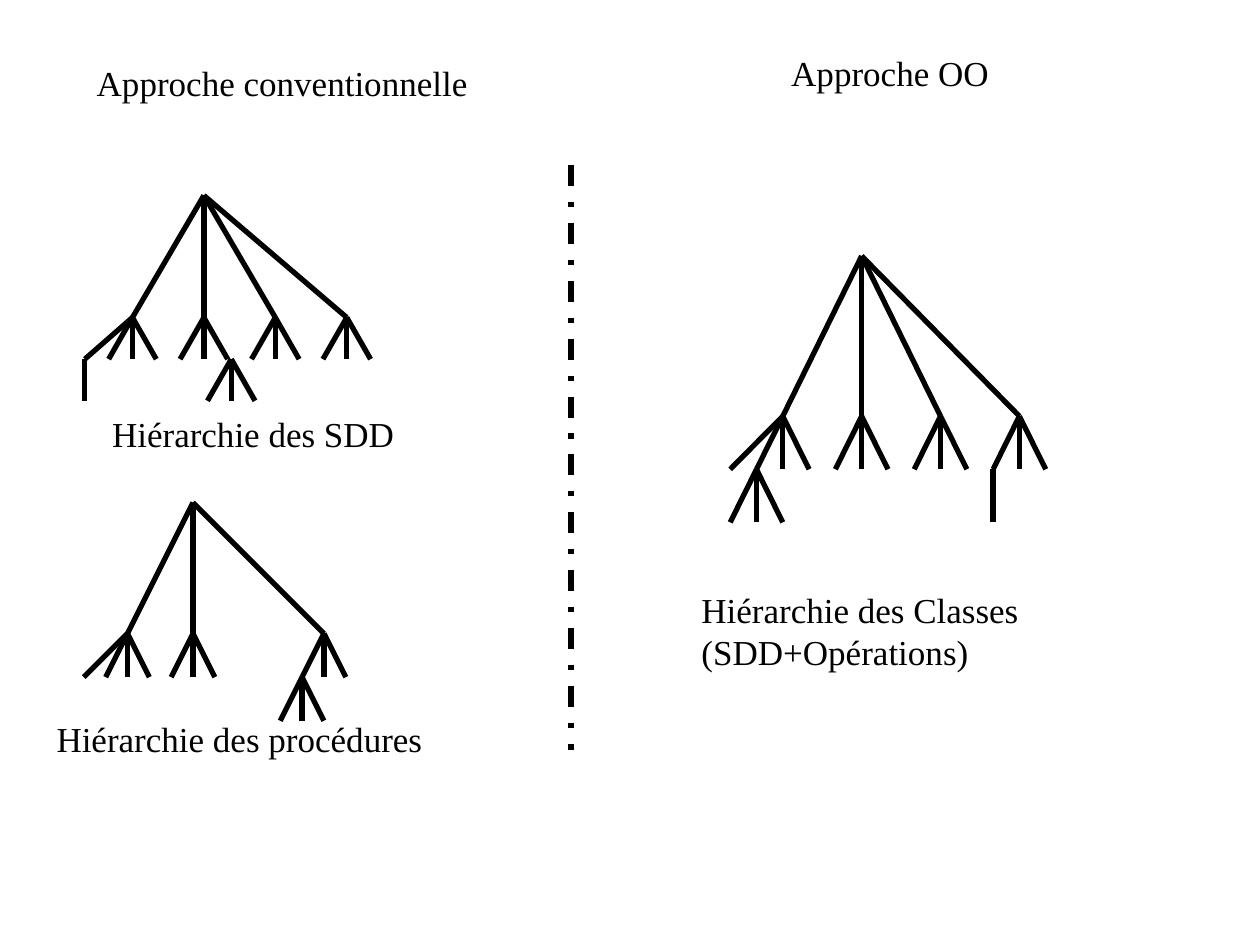
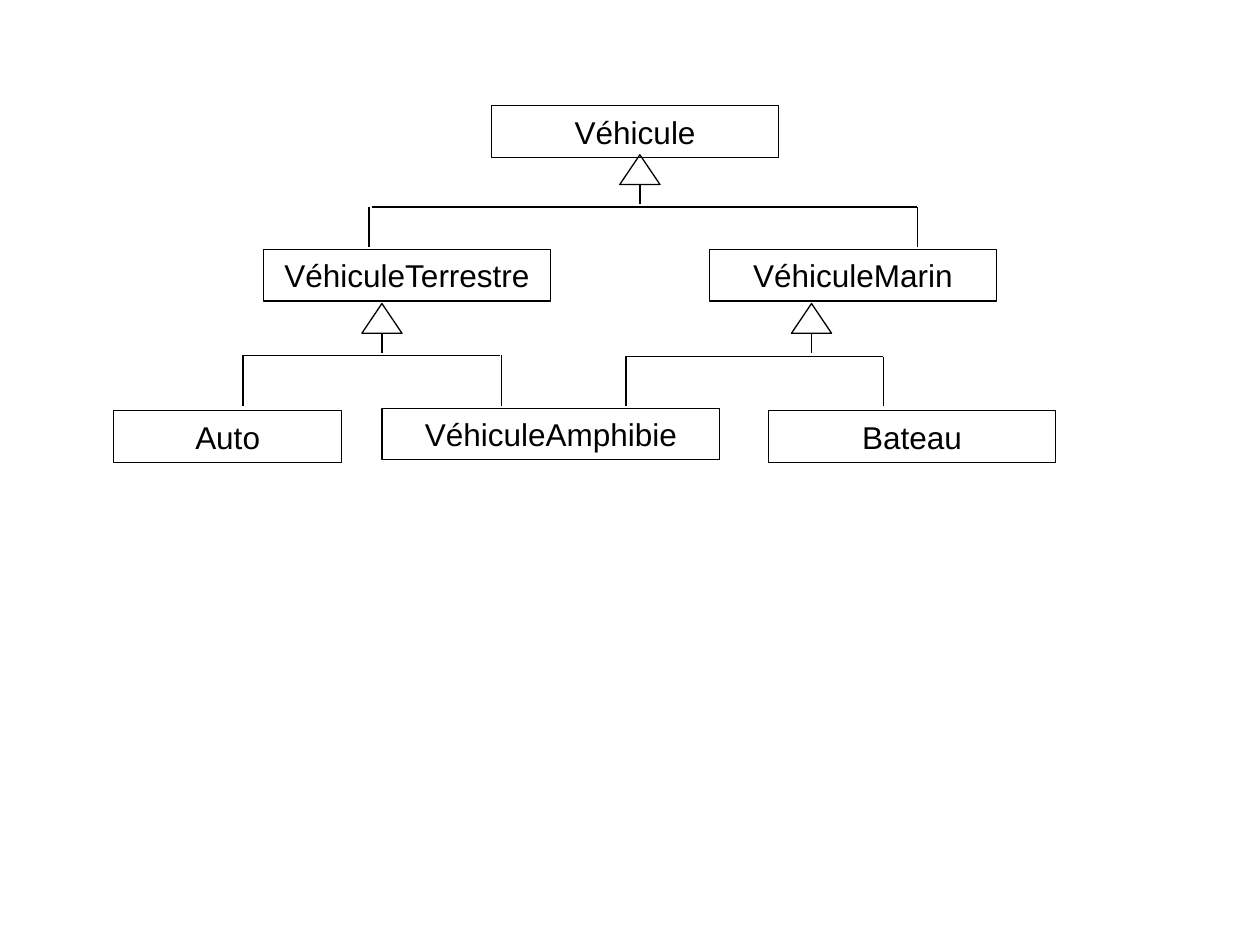
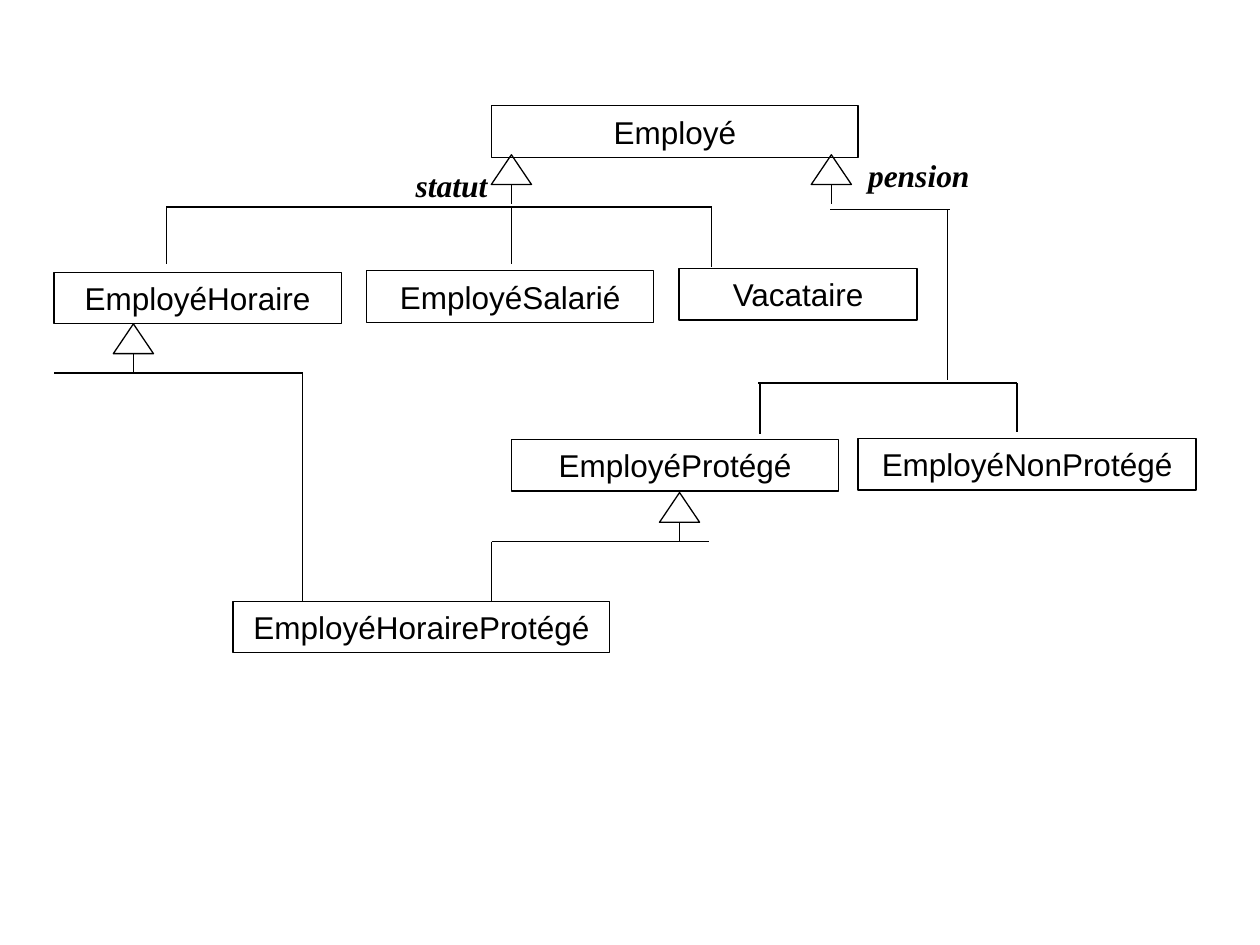
from dataclasses import dataclass

from lxml.etree import SubElement
from pptx import Presentation
from pptx.dml.color import RGBColor
from pptx.enum.dml import MSO_LINE
from pptx.enum.shapes import MSO_CONNECTOR, MSO_SHAPE
from pptx.enum.text import MSO_ANCHOR, PP_ALIGN
from pptx.oxml.ns import qn
from pptx.util import Cm, Pt


@dataclass(frozen=True)
class Theme:
    ink: RGBColor = RGBColor(0, 0, 0)
    serif: str = "Times New Roman"
    sans: str = "Arial"
    caption: int = 20
    label: int = 18
    thick: float = 3
    thin: float = 0.75


T = Theme()

# All lengths below are in centimetres
BOX_H, TRI_W, TRI_H, STEM = 1.04, 0.81, 0.6, 0.4
FAN = (-1, 0, 1)
WIDE_FAN = (-2, *FAN)

# Trees: horizontal offsets in units; a node maps to the offsets of its leaves
TREES = [
    dict(root=(4.11, 3.94), unit=0.48, drop=2.46, step=0.84,
         nodes={-3: WIDE_FAN, 0: FAN, 3: FAN, 6: FAN},
         twigs={1.15: FAN, -5: (0,)}),
    dict(root=(3.89, 10.13), unit=0.44, drop=2.64, step=0.88,
         nodes={-3: WIDE_FAN, 0: FAN, 6: FAN},
         twigs={5: FAN}),
    dict(root=(17.37, 5.16), unit=0.53, drop=3.23, step=1.07,
         nodes={-3: WIDE_FAN, 0: FAN, 3: FAN, 6: FAN},
         twigs={-4: FAN, 5: (0,)}),
]
# Captions: lines, left, top, width, height
CAPTIONS = [
    (["Approche conventionnelle"], 1.7, 1.12, 8, 1.19),
    (["Approche OO"], 15.7, 0.91, 5.79, 1.19),
    (["Hiérarchie des SDD"], 2.01, 8.2, 6.3, 1.32),
    (["Hiérarchie des procédures"], 0.89, 14.33, 8.81, 1.6),
    (["Hiérarchie des Classes", "(SDD+Opérations)"], 13.89, 11.73, 7.39, 2.59),
]
DIVIDER = (11.51, 3.33, 11.51, 15.11)

# Class diagrams
# boxes: name, left, top, width; arrows: apex x, y
# forks: y, left, right, [(drop x, bottom)]; labels: text, left, top, width
DIAGRAMS = [
    dict(
        boxes=[
            ("Véhicule", 9.91, 2.13, 5.79),
            ("VéhiculeTerrestre", 5.31, 5.03, 5.79),
            ("VéhiculeMarin", 14.3, 5.03, 5.79),
            ("Auto", 2.29, 8.28, 4.6),
            ("VéhiculeAmphibie", 7.7, 8.23, 6.81),
            ("Bateau", 15.49, 8.28, 5.79),
        ],
        arrows=[(12.9, 3.12), (7.7, 6.12), (16.36, 6.12)],
        forks=[
            (4.17, 7.49, 18.49, [(7.44, 4.98), (18.49, 4.98)]),
            (7.16, 4.88, 10.08, [(4.9, 8.18), (10.11, 8.18)]),
            (7.19, 12.6, 17.81, [(12.62, 8.18), (17.81, 8.18)]),
        ],
        labels=[],
    ),
    dict(
        boxes=[
            ("Employé", 9.91, 2.13, 7.39),
            ("EmployéHoraire", 1.09, 5.49, 5.79),
            ("EmployéSalarié", 7.39, 5.46, 5.79),
            ("Vacataire", 13.69, 5.41, 4.8),
            ("EmployéProtégé", 10.31, 8.86, 6.6),
            ("EmployéNonProtégé", 17.3, 8.84, 6.81),
            ("EmployéHoraireProtégé", 4.7, 12.12, 7.59),
        ],
        arrows=[(10.31, 3.12), (16.76, 3.12), (2.69, 6.53), (13.7, 9.93)],
        forks=[
            (4.17, 3.35, 14.35, [(3.35, 5.33), (10.31, 5.33), (14.35, 5.38)]),
            (4.22, 16.74, 19.15, [(19.1, 7.67)]),
            (7.72, 15.29, 20.5, [(15.32, 8.74), (20.5, 8.71)]),
            (7.52, 1.09, 6.1, [(6.1, 12.12)]),
            (10.92, 9.91, 14.3, [(9.91, 12.12)]),
        ],
        labels=[("statut", 8.13, 3.23, 2.39), ("pension", 17.25, 3.02, 2.59)],
    ),
]


def add_line(s, x1, y1, x2, y2, width=T.thin):
    c = s.shapes.add_connector(MSO_CONNECTOR.STRAIGHT, Cm(x1), Cm(y1), Cm(x2), Cm(y2))
    c.line.color.rgb = T.ink
    c.line.width = Pt(width)
    SubElement(c._element.spPr, qn("a:effectLst"))
    return c


def add_outline(s, kind, x, y, w, h):
    sp = s.shapes.add_shape(kind, Cm(x), Cm(y), Cm(w), Cm(h))
    sp.shadow.inherit = False
    sp.fill.background()
    sp.line.color.rgb = T.ink
    sp.line.width = Pt(T.thin)
    return sp


def write(sp, lines, font, size, align=PP_ALIGN.LEFT, emphasis=False):
    tf = sp.text_frame
    tf.word_wrap = True
    tf.text = "\n".join(lines)
    for p in tf.paragraphs:
        p.alignment = align
        p.font.name, p.font.size = font, Pt(size)
        p.font.color.rgb = T.ink
        p.font.bold = p.font.italic = emphasis


def add_text(s, lines, x, y, w, h, size, emphasis=False):
    sp = s.shapes.add_textbox(Cm(x), Cm(y), Cm(w), Cm(h))
    write(sp, lines, T.serif, size, emphasis=emphasis)


def add_fan(s, x, y, offsets, unit, height):
    for k in offsets:
        add_line(s, x, y, x + k * unit, y + height, T.thick)


def add_tree(s, root, unit, drop, step, nodes, twigs):
    x, y = root
    add_fan(s, x, y, nodes, unit, drop)
    for level, parents in enumerate((nodes, twigs)):
        for k, leaves in parents.items():
            add_fan(s, x + k * unit, y + drop + level * step, leaves, unit, step)


def add_diagram(s, boxes, arrows, forks, labels):
    for name, x, y, w in boxes:
        sp = add_outline(s, MSO_SHAPE.RECTANGLE, x, y, w, BOX_H)
        write(sp, [name], T.sans, T.label, PP_ALIGN.CENTER)
        sp.text_frame.vertical_anchor = MSO_ANCHOR.MIDDLE
    for x, y in arrows:
        add_outline(s, MSO_SHAPE.ISOSCELES_TRIANGLE, x - TRI_W / 2, y, TRI_W, TRI_H)
        add_line(s, x, y + TRI_H, x, y + TRI_H + STEM)
    for y, left, right, drops in forks:
        add_line(s, left, y, right, y)
        for x, bottom in drops:
            add_line(s, x, y, x, bottom)
    for text, x, y, w in labels:
        add_text(s, [text], x, y, w, 1.02, T.label, emphasis=True)


def main():
    prs = Presentation()
    prs.slide_width, prs.slide_height = Cm(25.4), Cm(19.05)
    blank = prs.slide_layouts[6]

    # Two approaches side by side
    s = prs.slides.add_slide(blank)
    for tree in TREES:
        add_tree(s, **tree)
    for caption in CAPTIONS:
        add_text(s, *caption, T.caption)
    add_line(s, *DIVIDER, T.thick).line.dash_style = MSO_LINE.DASH_DOT

    # Inheritance diagrams
    for diagram in DIAGRAMS:
        add_diagram(prs.slides.add_slide(blank), **diagram)

    prs.save("out.pptx")


if __name__ == "__main__":
    main()
